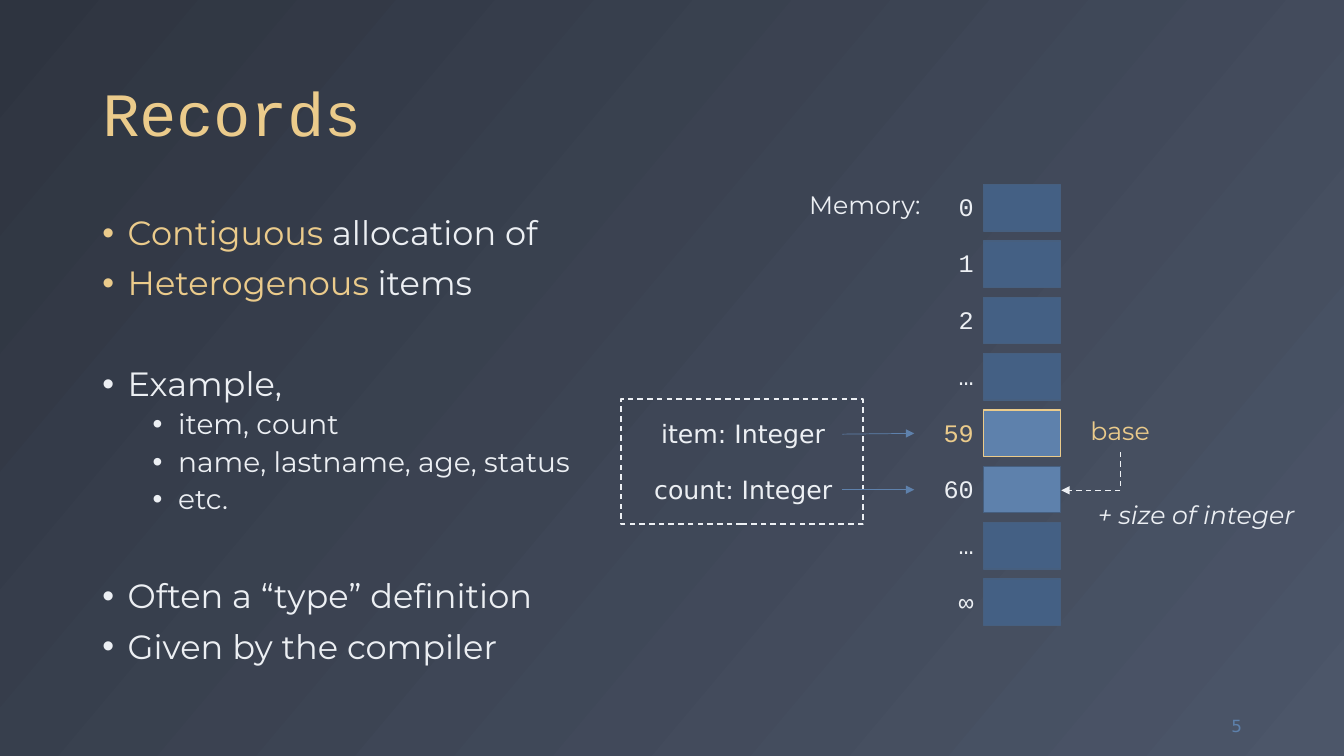
from lxml.etree import SubElement
from pptx import Presentation
from pptx.dml.color import RGBColor
from pptx.enum.dml import MSO_LINE
from pptx.enum.shapes import MSO_CONNECTOR, MSO_SHAPE
from pptx.enum.text import MSO_ANCHOR, MSO_AUTO_SIZE, PP_ALIGN
from pptx.oxml.ns import qn
from pptx.util import Cm, Pt

HUES = {
    "night": "2E3440", "slate": "4C5669", "gold": "EBCB8B", "snow": "ECEFF3",
    "blue": "5E81AC", "steel": "446084", "edge": "465F7F",
}
SANS = {"name": "Montserrat", "size": Pt(18)}
MONO = {"name": "Courier New", "size": Pt(18)}
PLAIN = {"name": "DejaVu Sans", "size": Pt(18)}


def write(para, words, form, hue="snow"):
    run = para.add_run()
    run.text = words
    for key, value in form.items():
        setattr(run.font, key, value)
    run.font.color.rgb = RGBColor.from_string(HUES[hue])


def trace(shape, hue, width, dash=None):
    shape.line.color.rgb = RGBColor.from_string(HUES[hue])
    shape.line.width = Pt(width)
    if dash:
        shape.line.dash_style = dash


deck = Presentation()
deck.slide_width, deck.slide_height = Cm(33.87), Cm(19.05)
slide = deck.slides.add_slide(deck.slide_layouts[5])
shapes = slide.shapes

back = slide.background.fill
back.gradient()
back.gradient_angle = 320
for stop, hue, place in zip(back.gradient_stops, ("night", "slate"), (0, 1)):
    stop.color.rgb = RGBColor.from_string(HUES[hue])
    stop.position = place

title = shapes.title
spot = {"left": Cm(2.33), "top": Cm(0.46), "width": Cm(29.21), "height": Cm(3.45)}
for key, value in spot.items():
    setattr(title, key, value)
title.text_frame.vertical_anchor = MSO_ANCHOR.BOTTOM
head = title.text_frame.paragraphs[0]
head.alignment, head.line_spacing = PP_ALIGN.LEFT, 0.9
write(head, "Records", {"name": "Courier New", "size": Pt(44)}, "gold")

points = [
    (0, 10, [("Contiguous", "gold"), (" allocation of", "snow")]),
    (0, 10, [("Heterogenous", "gold"), (" items", "snow")]),
    (0, 46, [("Example,", "snow")]),
    (1, 5, [("item, count", "snow")]),
    (1, 5, [("name, lastname, age, status", "snow")]),
    (1, 5, [("etc.", "snow")]),
    (0, 46, [("Often a “type” definition", "snow")]),
    (0, 10, [("Given by the compiler", "snow")]),
]
body = shapes.add_textbox(Cm(2.33), Cm(5.08), Cm(12.45), Cm(12.09)).text_frame
body.word_wrap = True
body.vertical_anchor = MSO_ANCHOR.MIDDLE
for rank, (level, gap, parts) in enumerate(points):
    para = body.add_paragraph() if rank else body.paragraphs[0]
    form = {"level": level, "line_spacing": 0.9, "space_before": Pt(gap)}
    for key, value in form.items():
        setattr(para, key, value)
    props = para._p.get_or_add_pPr()
    props.set("marL", str(Cm(0.64 + 1.27 * level)))
    props.set("indent", str(Cm(-0.64)))
    SubElement(props, qn("a:buFont")).set("typeface", "Arial")
    SubElement(props, qn("a:buChar")).set("char", "•")
    for words, hue in parts:
        write(para, words, {"name": "Montserrat", "size": Pt(24 - 4 * level)}, hue)

notes = [
    ("Memory:", 20.14, 4.65, 3.35, SANS, "snow", PP_ALIGN.LEFT),
    ("item: Integer", 16.41, 10.41, 4.83, PLAIN, "snow", PP_ALIGN.LEFT),
    ("count: Integer", 16.05, 11.84, 5.18, PLAIN, "snow", PP_ALIGN.RIGHT),
    ("base", 27.23, 10.34, 2.01, SANS, "gold", PP_ALIGN.LEFT),
    ("+ size of integer", 27.41, 12.45, 5.54, SANS | {"italic": True}, "snow", PP_ALIGN.LEFT),
    ("5", 29.44, 17.78, 2.11, PLAIN | {"size": Pt(12)}, "blue", PP_ALIGN.RIGHT),
]

cells = [
    ("0", "steel", "edge", "snow"), ("1", "steel", "edge", "snow"),
    ("2", "steel", "edge", "snow"), ("…", "steel", "edge", "snow"),
    ("59", "blue", "gold", "gold"), ("60", "blue", "edge", "snow"),
    ("…", "steel", "edge", "snow"), ("∞", "steel", "edge", "snow"),
]
for row, (mark, fill, edge, hue) in enumerate(cells):
    top = 4.65 + 1.42 * row
    cell = shapes.add_shape(MSO_SHAPE.RECTANGLE, Cm(24.79), Cm(top), Cm(1.93), Cm(1.17))
    cell.shadow.inherit = False
    cell.fill.solid()
    cell.fill.fore_color.rgb = RGBColor.from_string(HUES[fill])
    trace(cell, edge, 1)
    notes.append((mark, 23.04, top + 0.05, 1.75, MONO, hue, PP_ALIGN.RIGHT))

for words, left, top, width, form, hue, side in notes:
    frame = shapes.add_textbox(Cm(left), Cm(top), Cm(width), Cm(1.03)).text_frame
    frame.word_wrap = form is MONO
    frame.auto_size = MSO_AUTO_SIZE.SHAPE_TO_FIT_TEXT
    if words == "5":
        frame.auto_size = MSO_AUTO_SIZE.NONE
        frame.word_wrap = True
        frame.vertical_anchor = MSO_ANCHOR.MIDDLE
    frame.paragraphs[0].alignment = side
    write(frame.paragraphs[0], words, form, hue)

group = shapes.add_shape(MSO_SHAPE.RECTANGLE, Cm(15.65), Cm(10.06), Cm(6.1), Cm(3.15))
group.shadow.inherit = False
group.fill.background()
trace(group, "snow", 1, MSO_LINE.DASH)

links = [
    (MSO_CONNECTOR.STRAIGHT, 21.23, 10.94, 23.04, 10.92, "blue", 0.5, None),
    (MSO_CONNECTOR.STRAIGHT, 21.23, 12.34, 23.04, 12.34, "blue", 0.5, None),
    (MSO_CONNECTOR.ELBOW, 27.01, 11.12, 27.98, 12.62, "snow", 1, MSO_LINE.DASH),
]
for kind, left, top, right, base, hue, width, dash in links:
    link = shapes.add_connector(kind, Cm(left), Cm(top), Cm(right), Cm(base))
    trace(link, hue, width, dash)
    props = link._element.spPr
    SubElement(props.find(qn("a:ln")), qn("a:tailEnd")).set("type", "triangle")
    SubElement(props, qn("a:effectLst"))
    if kind == MSO_CONNECTOR.ELBOW:
        props.find(qn("a:xfrm")).set("rot", "5400000")
        props.find(qn("a:prstGeom")).set("prst", "bentConnector2")

deck.save("out.pptx")
